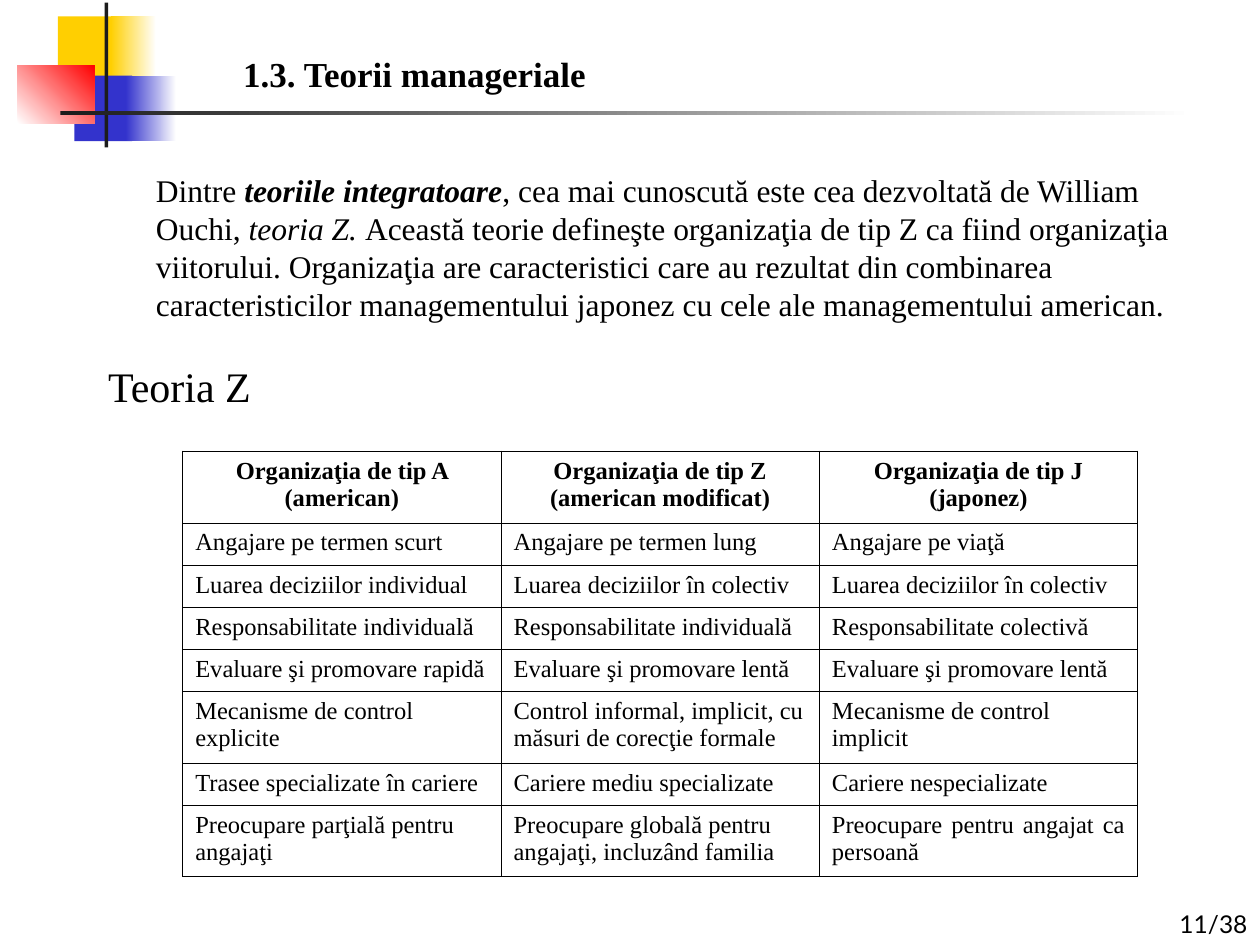
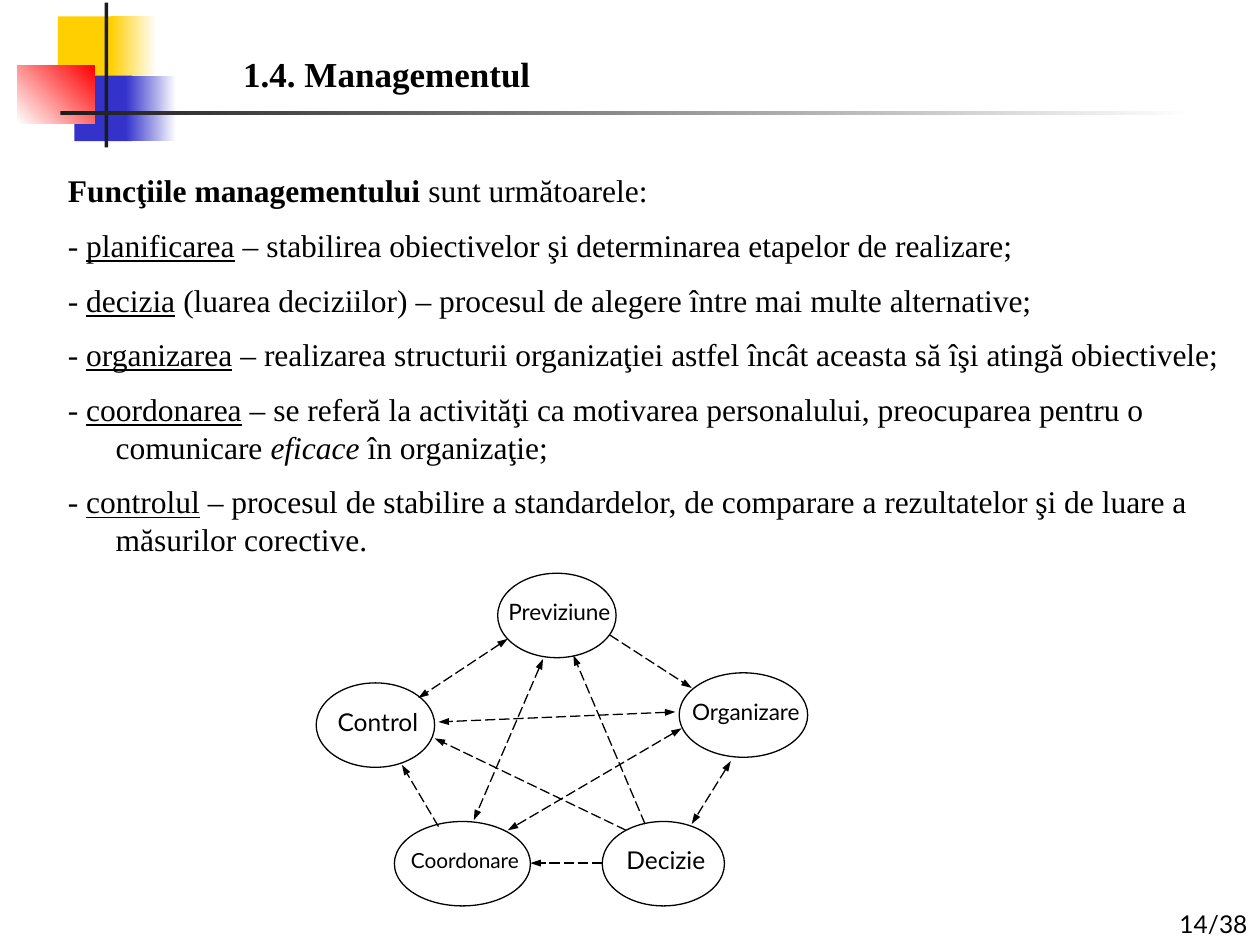
from lxml import etree
from pptx import Presentation
from pptx import util as u
from pptx.dml.color import RGBColor
from pptx.enum import dml, shapes, text
from pptx.oxml.ns import qn

COLORS = {
    "ink": "000000",
    "paper": "FFFFFF",
    "yellow": "FFCF01",
    "blue": "3333CC",
    "red": "FF0000",
    "bar": "1C1C1C",
}
SERIF, SANS = "Times New Roman", "Lato"
COLUMNS, ROWS = 100, 75
CELL = u.Inches(0.1)
LEADING = 1.2
HANGING = 3.8
ALIGN, ANCHOR = text.PP_ALIGN, text.MSO_ANCHOR

BANDS = [
    ((4.6, 1.3, 4.8, 5.2), ["yellow"], 0),
    ((8.8, 1.3, 3.6, 5.2), ["yellow", "paper"], 0),
    ((5.9, 6, 4.6, 5.2), ["blue"], 0),
    ((10, 6, 4, 5.2), ["blue", "paper"], 0),
    ((1.4, 5.2, 6.1, 4.6), ["paper", "red"], 45),
    ((8.3, 0.2, 0.3, 11.5), ["bar"], 0),
    ((4.8, 8.8, 90, 0.3), ["bar", "paper"], 0),
]

THEORY_Z = [
    ("Dintre ", ""),
    ("teoriile integratoare", "bi"),
    (", cea mai cunoscută este cea dezvoltată de William Ouchi, ", ""),
    ("teoria Z. ", "i"),
    ("Această teorie defineşte organizaţia de tip Z ca fiind organizaţia "
     "viitorului. Organizaţia are caracteristici care au rezultat din combinarea "
     "caracteristicilor managementului japonez cu cele ale managementului "
     "american.", ""),
]

ORGANIZATIONS = [
    ["Organizaţia de tip A (american)",
     "Organizaţia de tip Z\n(american modificat)",
     "Organizaţia de tip J\n(japonez)"],
    ["Angajare pe termen scurt", "Angajare pe termen lung", "Angajare pe viaţă"],
    ["Luarea deciziilor individual", "Luarea deciziilor în colectiv",
     "Luarea deciziilor în colectiv"],
    ["Responsabilitate individuală", "Responsabilitate individuală",
     "Responsabilitate colectivă"],
    ["Evaluare şi promovare rapidă", "Evaluare şi promovare lentă",
     "Evaluare şi promovare lentă"],
    ["Mecanisme de control explicite",
     "Control informal, implicit, cu măsuri de corecţie formale",
     "Mecanisme de control implicit"],
    ["Trasee specializate în cariere", "Cariere mediu specializate",
     "Cariere nespecializate"],
    ["Preocupare parţială pentru angajaţi",
     "Preocupare globală pentru angajaţi, incluzând familia",
     "Preocupare pentru angajat ca persoană"],
]
TALL_ROWS = {0, 5, 7}

FUNCTIONS = [
    [("Funcţiile managementului", "b"), (" sunt următoarele:", "")],
    [("- ", ""), ("planificarea", "u"),
     (" – stabilirea obiectivelor şi determinarea etapelor de realizare;", "")],
    [("- ", ""), ("decizia", "u"),
     (" (luarea deciziilor) – procesul de alegere între mai multe alternative;", "")],
    [("- ", ""), ("organizarea", "u"),
     (" – realizarea structurii organizaţiei astfel încât aceasta să îşi atingă "
      "obiectivele;", "")],
    [("- ", ""), ("coordonarea", "u"),
     (" – se referă la activităţi ca motivarea personalului, preocuparea pentru o "
      "comunicare ", ""), ("eficace", "i"), (" în organizaţie;", "")],
    [("- ", ""), ("controlul", "u"),
     (" – procesul de stabilire a standardelor, de comparare a rezultatelor şi de "
      "luare a măsurilor corective.", "")],
]

NODE_HEIGHT = 6.7
NODES = [
    ("Previziune", 39.5, 45.5, 9.4, 12.9),
    ("Organizare", 53.9, 53.4, 10.2, 12.9),
    ("Control", 25.1, 54.2, 9.4, 14),
    ("Coordonare", 31.3, 65.2, 10.8, 11.9),
    ("Decizie", 47.8, 65.2, 9.7, 14),
]
ONE_WAY = [
    ((48.4, 50.4), (54.9, 54.6)),
    ((47.8, 68.5), (42.1, 68.5)),
    ((34.8, 65.6), (31.9, 60.7)),
    ((49.7, 65.9), (34.5, 58.6)),
    ((51.2, 65.4), (45.5, 52)),
]
TWO_WAY = [
    ((40.3, 50.7), (33.2, 55.4)),
    ((58, 60.4), (54.9, 65.4)),
    ((43.1, 52.3), (37.6, 65.1)),
    ((54.1, 57.8), (40.3, 65.9)),
    ((53.6, 56.5), (34.8, 57.3)),
]


def grid(*lengths):
    return [round(length * CELL) for length in lengths]


def color(name):
    return RGBColor.from_string(COLORS[name])


def add_span(para, words, size, font=SERIF, style=""):
    span = para.add_run()
    span.text = words
    span.font.name = font
    span.font.size = u.Pt(size)
    span.font.color.rgb = color("ink")
    span.font.bold = "b" in style
    span.font.italic = "i" in style
    span.font.underline = "u" in style


def next_paragraph(frame):
    first = frame.paragraphs[0]
    return frame.add_paragraph() if first.runs else first


def add_prose(frame, spans, size, before=0, margin=0, indent=0):
    para = next_paragraph(frame)
    properties = para._p.get_or_add_pPr()
    properties.set("marL", str(grid(margin)[0]))
    properties.set("indent", str(grid(indent)[0]))
    para.alignment = ALIGN.LEFT
    para.line_spacing = u.Pt(size * LEADING)
    para.space_before = u.Pt(before)
    for words, style in spans:
        add_span(para, words, size, style=style)


def add_text_box(page, area, anchor):
    frame = page.shapes.add_textbox(*grid(*area)).text_frame
    frame.word_wrap = True
    frame.vertical_anchor = anchor
    return frame


def add_band(page, area, stops, angle):
    band = page.shapes.add_shape(shapes.MSO_SHAPE.RECTANGLE, *grid(*area))
    band.shadow.inherit = False
    band.line.fill.background()
    if len(stops) == 1:
        band.fill.solid()
        band.fill.fore_color.rgb = color(stops[0])
        return
    band.fill.gradient()
    band.fill.gradient_angle = angle
    for stop, name in zip(band.fill.gradient_stops, stops):
        stop.color.rgb = color(name)


def set_title(page, words):
    title = page.shapes.title
    title.left, title.top, title.width, title.height = grid(18.3, 3.7, 60, 4.4)
    frame = title.text_frame
    frame.auto_size = text.MSO_AUTO_SIZE.NONE
    frame.word_wrap = False
    frame.vertical_anchor = ANCHOR.TOP
    add_prose(frame, [(words, "b")], 20)


def add_page(deck, title, number):
    page = deck.slides.add_slide(deck.slide_layouts[5])
    for band in BANDS:
        add_band(page, *band)
    set_title(page, title)
    footer = add_text_box(page, (68.3, 70, 31.7, 5), ANCHOR.BOTTOM)
    para = footer.paragraphs[0]
    para.alignment = ALIGN.RIGHT
    add_span(para, number, 14, SANS)
    return page


def outline_cell(cell):
    cell.fill.background()
    properties = cell._tc.get_or_add_tcPr()
    for position, side in enumerate(("lnL", "lnR", "lnT", "lnB")):
        line = etree.Element(qn(f"a:{side}"), w=str(u.Pt(0.45)))
        fill = etree.SubElement(line, qn("a:solidFill"))
        etree.SubElement(fill, qn("a:srgbClr"), val=COLORS["ink"])
        properties.insert(position, line)


def add_comparison(page, rows):
    area = grid(14.5, 35.8, 75.8, 33.7)
    table = page.shapes.add_table(len(rows), len(rows[0]), *area).table
    table.first_row = table.horz_banding = False
    for row_index, row in enumerate(rows):
        table.rows[row_index].height = grid(5.7 if row_index in TALL_ROWS else 3.34)[0]
        for column_index, words in enumerate(row):
            cell = table.cell(row_index, column_index)
            outline_cell(cell)
            for line in words.split("\n"):
                para = next_paragraph(cell.text_frame)
                para.alignment = ALIGN.LEFT if row_index else ALIGN.CENTER
                add_span(para, line, 14, style="" if row_index else "b")
    last = table.cell(len(rows) - 1, len(rows[0]) - 1)
    last.text_frame.paragraphs[0].alignment = ALIGN.JUSTIFY


def add_node(page, label, left, top, width, size):
    node = page.shapes.add_shape(
        shapes.MSO_SHAPE.OVAL, *grid(left, top, width, NODE_HEIGHT))
    node.shadow.inherit = False
    node.fill.background()
    node.line.color.rgb = color("ink")
    node.line.width = u.Pt(0.75)
    frame = node.text_frame
    frame.word_wrap = False
    frame.vertical_anchor = ANCHOR.MIDDLE
    frame.margin_left, frame.margin_bottom = grid(0.4, 0.6)
    frame.margin_right = frame.margin_top = 0
    para = frame.paragraphs[0]
    para.alignment = ALIGN.CENTER
    add_span(para, label, size, SANS)


def add_arrow(page, start, end, ends):
    arrow = page.shapes.add_connector(
        shapes.MSO_CONNECTOR.STRAIGHT, *grid(*start, *end))
    arrow.line.color.rgb = color("ink")
    arrow.line.width = u.Pt(0.75)
    arrow.line.dash_style = dml.MSO_LINE.LONG_DASH
    line = arrow.line._get_or_add_ln()
    for tip in ends:
        etree.SubElement(line, qn(f"a:{tip}"), type="triangle", w="sm", len="med")
    etree.SubElement(arrow._element.spPr, qn("a:effectLst"))


def add_theories_page(deck):
    page = add_page(deck, "1.3. Teorii manageriale", "11/38")
    body = add_text_box(page, (7.6, 13.1, 86.7, 20), ANCHOR.MIDDLE)
    add_prose(body, THEORY_Z, 18, margin=HANGING)
    add_prose(body, [("Teoria Z", "")], 24, before=18 * LEADING)
    add_comparison(page, ORGANIZATIONS)


def add_management_page(deck):
    page = add_page(deck, "1.4. Managementul", "14/38")
    body = add_text_box(page, (4.4, 13.1, 93.8, 31.7), ANCHOR.MIDDLE)
    for index, spans in enumerate(FUNCTIONS):
        before = 8 * LEADING if index else 0
        add_prose(body, spans, 18, before, HANGING, -HANGING)
    for node in NODES:
        add_node(page, *node)
    for start, end in ONE_WAY:
        add_arrow(page, start, end, ["tailEnd"])
    for start, end in TWO_WAY:
        add_arrow(page, start, end, ["headEnd", "tailEnd"])


def main():
    deck = Presentation()
    deck.slide_width, deck.slide_height = grid(COLUMNS, ROWS)
    add_theories_page(deck)
    add_management_page(deck)
    deck.save("out.pptx")


if __name__ == "__main__":
    main()
